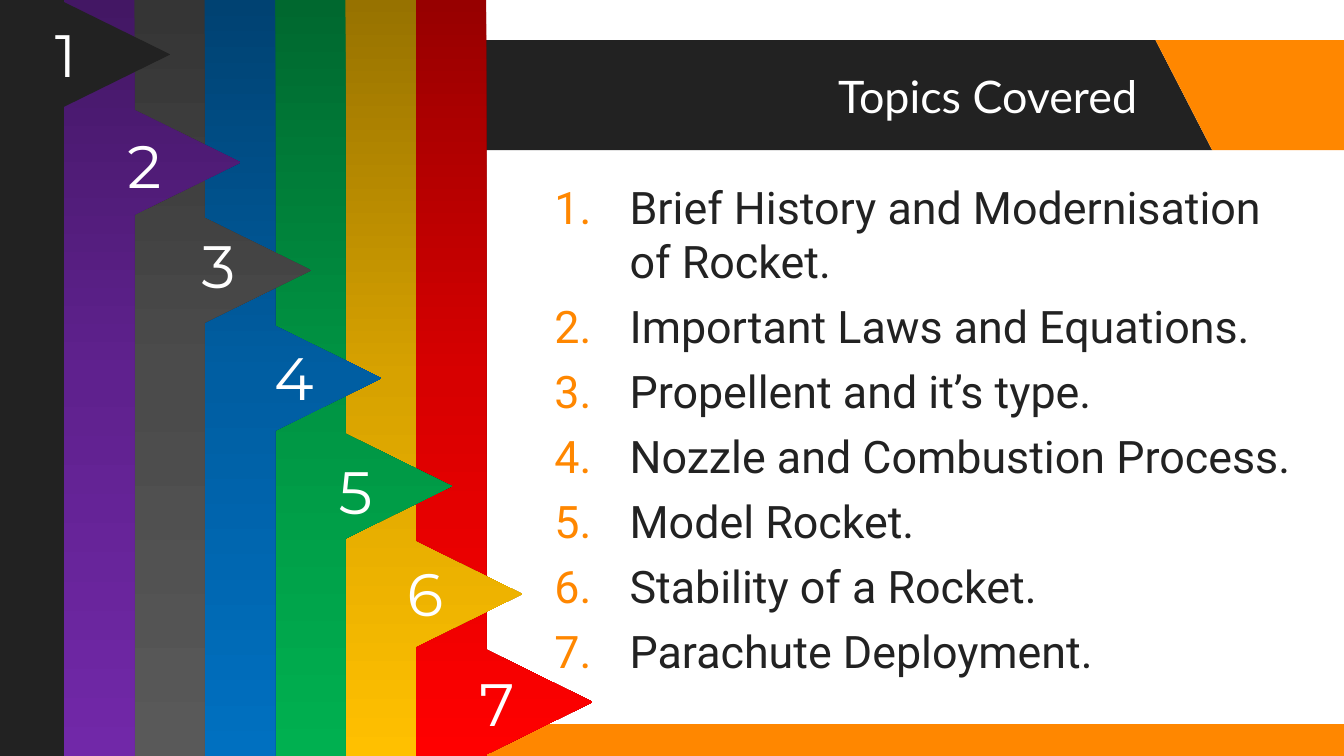
from dataclasses import dataclass

from lxml import etree
from pptx import Presentation
from pptx.dml.color import RGBColor
from pptx.enum.shapes import MSO_SHAPE
from pptx.enum.text import MSO_ANCHOR, PP_ALIGN
from pptx.oxml import parse_xml
from pptx.oxml.ns import nsdecls, qn
from pptx.util import Cm, Pt

SLANT = MSO_SHAPE.PARALLELOGRAM
TOP, MIDDLE = MSO_ANCHOR.TOP, MSO_ANCHOR.MIDDLE
LEFT, RIGHT = PP_ALIGN.LEFT, PP_ALIGN.RIGHT


@dataclass(frozen=True)
class Theme:
    dark: str = "222222"
    orange: str = "FF8700"
    white: str = "FFFFFF"
    text: int = 24
    digit: int = 32
    head: str = "Lato"
    body: str = "Roboto"
    label: str = "Montserrat"
    # Top, middle and bottom colour of each ribbon, left to right
    bands: tuple = (
        ("222222", "222222", "222222"),
        ("431764", "5F218E", "7128A8"),
        ("353535", "4B4B4B", "595959"),
        ("004272", "005EA2", "0070C0"),
        ("00682F", "009443", "00B050"),
        ("977200", "D7A200", "FFC000"),
        ("970000", "D70000", "FF0000"),
    )


THEME = Theme()
WIDE, HIGH = 25.4, 14.29

# Left, top, width, colour and height of the slanted bars
BARS = [
    (2.06, 0.76, 20.85, THEME.dark, 2.08),
    (21.84, 0.76, 4.88, THEME.orange, 2.08),
    (2.74, 13.69, 23.24, THEME.orange, 0.64),
]

# Left, top and width of the ribbon numbers
SPOTS = [
    (0.79, 0.2, 0.84),
    (2.16, 2.31, 0.91),
    (3.56, 4.19, 0.76),
    (4.93, 6.32, 0.81),
    (6.15, 8.46, 0.74),
    (7.44, 10.39, 0.74),
    (8.81, 12.47, 0.71),
]

TOPICS = [
    "Brief History and Modernisation of Rocket.",
    "Important Laws and Equations.",
    "Propellent and it’s type.",
    "Nozzle and Combustion Process.",
    "Model Rocket.",
    "Stability of a Rocket.",
    "Parachute Deployment.",
]


def apply(item, values):
    for name, value in values.items():
        setattr(item, name, value)


def add_bar(slide, left, top, width, color, height):
    bar = slide.shapes.add_shape(SLANT, Cm(left), Cm(top), Cm(width), Cm(height))
    bar.adjustments[0] = 0.515
    bar.shadow.inherit = False
    bar.fill.solid()
    bar.fill.fore_color.rgb = RGBColor.from_string(color)
    bar.line.fill.background()
    bar._element.spPr.find(qn("a:xfrm")).set("flipH", "1")


def add_band(slide, order, colors):
    """Draw a vertical ribbon with an arrow head on its right edge."""
    left = -0.19 + 1.33 * order
    right = left + 1.4
    head = 0.04 + 2.04 * order
    points = [
        (left, 0), (right, 0), (right, head), (right + 2.01, head + 0.99),
        (right, head + 1.98), (right, HIGH), (left, HIGH),
    ]
    start, *rest = [(Cm(x), Cm(y)) for x, y in points]
    pen = slide.shapes.build_freeform(*start, scale=1.0)
    pen.add_line_segments(rest, close=True)
    band = pen.convert_to_shape()
    band.shadow.inherit = False
    band.line.fill.background()
    stops = "".join(
        f'<a:gs pos="{50000 * i}"><a:srgbClr val="{color}"/></a:gs>'
        for i, color in enumerate(colors)
    )
    fill = parse_xml(
        f'<a:gradFill {nsdecls("a")} rotWithShape="1"><a:gsLst>{stops}</a:gsLst>'
        '<a:lin ang="5400000" scaled="0"/></a:gradFill>'
    )
    band._element.spPr.find(qn("a:custGeom")).addnext(fill)


def add_bullet(para):
    props = para._p.get_or_add_pPr()
    props.set("marL", str(Cm(1.52)))
    props.set("indent", str(Cm(-1.42)))
    color = etree.SubElement(props, qn("a:buClr"))
    etree.SubElement(color, qn("a:srgbClr"), val=THEME.orange)
    etree.SubElement(props, qn("a:buFont"), typeface=THEME.body)
    etree.SubElement(props, qn("a:buAutoNum"), type="arabicPeriod")


def add_text(slide, box, lines, font, size, color, inset=0.25,
             anchor=TOP, align=LEFT, listed=False):
    frame = slide.shapes.add_textbox(*map(Cm, box)).text_frame
    apply(frame, {
        "word_wrap": True, "vertical_anchor": anchor,
        "margin_left": Cm(0.25), "margin_right": Cm(0.25),
        "margin_top": Cm(inset), "margin_bottom": Cm(inset),
    })
    for i, line in enumerate(lines):
        para = frame.add_paragraph() if i else frame.paragraphs[0]
        if listed:
            add_bullet(para)
        para.alignment = align
        if i:
            para.space_before = Pt(6)
        run = para.add_run()
        run.text = line
        apply(run.font, {"name": font, "size": Pt(size)})
        run.font.color.rgb = RGBColor.from_string(color)


def main():
    deck = Presentation()
    apply(deck, {"slide_width": Cm(WIDE), "slide_height": Cm(HIGH)})
    slide = deck.slides.add_slide(deck.slide_layouts[6])

    # Title and footer bars
    for bar in BARS:
        add_bar(slide, *bar)

    # Title and list of topics
    add_text(slide, (3.07, 0.76, 18.67, 2.08), ["Topics Covered"], THEME.head,
             THEME.text, THEME.white, anchor=MIDDLE, align=RIGHT)
    add_text(slide, (10.13, 3.15, 14.66, 10.13), TOPICS, THEME.body,
             THEME.text, THEME.dark, listed=True)

    # Ribbons, the rightmost at the back
    for order, colors in reversed(list(enumerate(THEME.bands))):
        add_band(slide, order, colors)

    # Ribbon numbers
    for number, spot in reversed(list(enumerate(SPOTS, 1))):
        add_text(slide, (*spot, 1.63), [str(number)], THEME.label,
                 THEME.digit, THEME.white, inset=0.13)

    deck.save("out.pptx")


if __name__ == "__main__":
    main()
